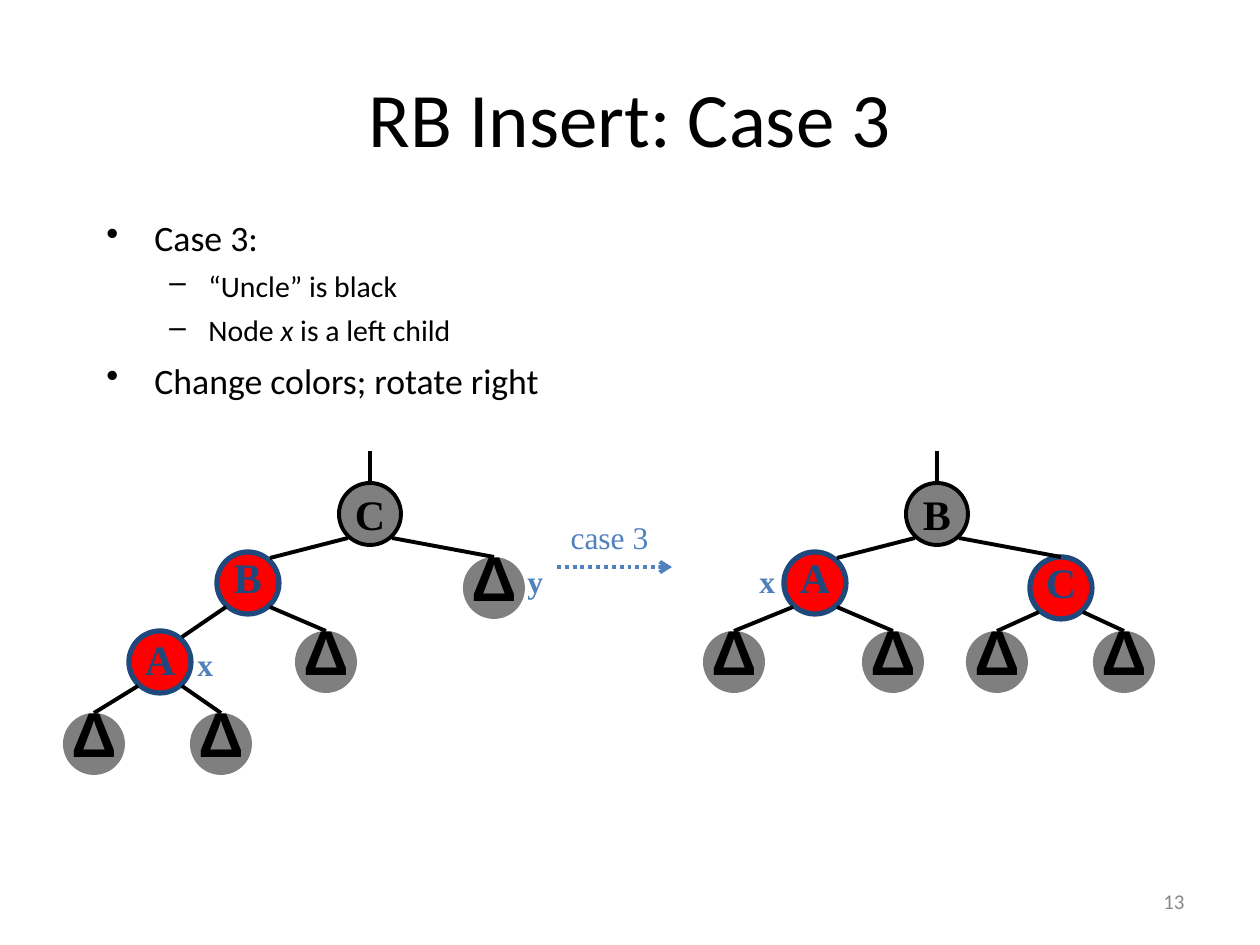
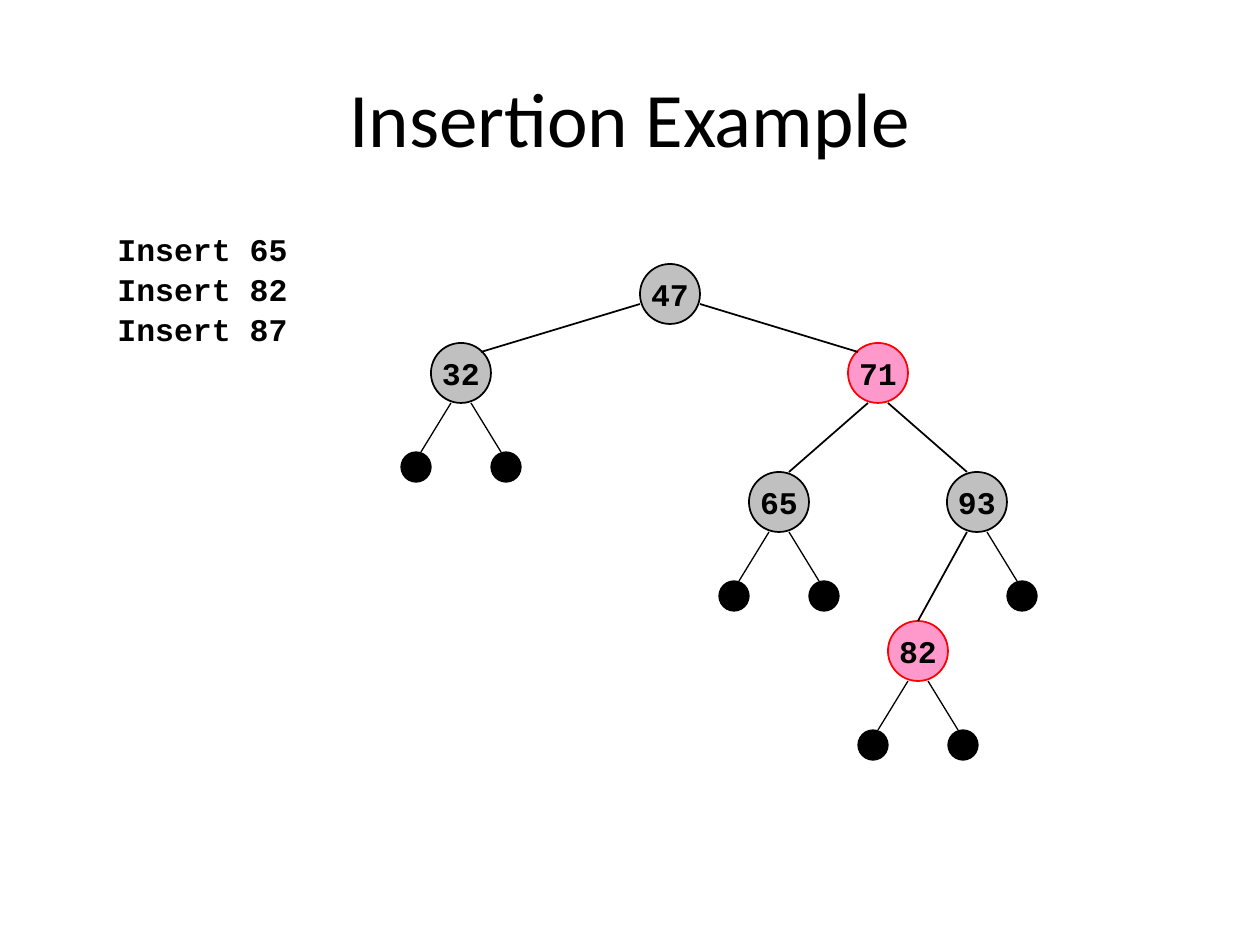
from dataclasses import dataclass

from lxml import etree
from pptx import Presentation
from pptx.dml.color import RGBColor
from pptx.enum.dml import MSO_LINE
from pptx.enum.shapes import MSO_CONNECTOR, MSO_SHAPE
from pptx.enum.text import MSO_ANCHOR, PP_ALIGN
from pptx.oxml.ns import qn
from pptx.util import Emu, Pt

ELLIPSE = MSO_SHAPE.OVAL
STRAIGHT = MSO_CONNECTOR.STRAIGHT
DOTTED = MSO_LINE.ROUND_DOT
MIDDLE, TOP = MSO_ANCHOR.MIDDLE, MSO_ANCHOR.TOP
LEFT, CENTER, RIGHT = PP_ALIGN.LEFT, PP_ALIGN.CENTER, PP_ALIGN.RIGHT

PX_PER_INCH = 126
SLIDE_SIZE = (1260, 945)
TITLE_ONLY = 5
TOP_SITE = 0

SANS, SERIF, MONO, SYMBOL = "Calibri", "Times New Roman", "Courier New", "Arial"
BLACK, DARK_GRAY, SILVER, PAGE_GRAY = "000000", "7F7F7F", "C0C0C0", "898989"
RED, PINK, BLUE, NAVY = "FF0000", "FF99CC", "4F81BD", "1F497D"


@dataclass
class NodeStyle:
    diameter: int
    fill: str
    line: str = BLACK
    line_width: float = 0
    font: str = SERIF
    size: float = 24
    color: str = BLACK
    spacing: float = 1.0


BLACK_NODE = NodeStyle(62, DARK_GRAY, BLACK, 2.25)
RED_NODE = NodeStyle(62, RED, NAVY, 3, color=NAVY, spacing=0.7)
LOW_RED_NODE = NodeStyle(62, RED, NAVY, 3, color=NAVY, spacing=0.9)
SUBTREE = NodeStyle(62, DARK_GRAY, font=SYMBOL, size=36, spacing=0.6)
KEY_BLACK = NodeStyle(60, SILVER, BLACK, 1, MONO, 18)
KEY_RED = NodeStyle(60, PINK, RED, 1, MONO, 18)
NIL_LEAF = NodeStyle(30, BLACK, BLACK, 0.75)


def px(length):
    return Emu(round(length * 914400 / PX_PER_INCH))


def rgb(value):
    return RGBColor.from_string(value)


def set_font(font, name, size, color, bold=False):
    font.name, font.size, font.bold = name, Pt(size), bold
    font.color.rgb = rgb(color)


def add_titled_slide(presentation, title):
    slide = presentation.slides.add_slide(presentation.slide_layouts[TITLE_ONLY])
    shape = slide.shapes.title
    shape.left, shape.top, shape.width, shape.height = map(px, (63, 38, 1134, 158))
    shape.text_frame.vertical_anchor = MIDDLE
    paragraph = shape.text_frame.paragraphs[0]
    paragraph.text = title
    paragraph.alignment = CENTER
    set_font(paragraph.font, SANS, 44, BLACK)
    return slide


def add_label(slide, text, box, font, size, color, bold=False,
              align=CENTER, anchor=MIDDLE, wrap=False):
    frame = slide.shapes.add_textbox(*map(px, box)).text_frame
    frame.word_wrap = wrap
    frame.vertical_anchor = anchor
    paragraph = frame.paragraphs[0]
    paragraph.text = text
    paragraph.alignment = align
    set_font(paragraph.font, font, size, color, bold)


def add_bullets(slide, items, box):
    """Each item is a level and its runs, given as (text, italic) pairs."""
    levels = (("•", 48, 48, 20.4, 6), ("–", 102, 39, 17, 5))
    frame = slide.shapes.add_textbox(*map(px, box)).text_frame
    frame.word_wrap = True
    for index, (level, runs) in enumerate(items):
        mark, margin, hanging, size, space = levels[level]
        paragraph = frame.add_paragraph() if index else frame.paragraphs[0]
        paragraph.level = level
        paragraph.space_before = Pt(space)
        set_font(paragraph.font, SANS, size, BLACK)
        for text, italic in runs:
            run = paragraph.add_run()
            run.text = text
            if italic:
                run.font.italic = True
        properties = paragraph._p.get_or_add_pPr()
        properties.set("marL", str(px(margin)))
        properties.set("indent", str(-px(hanging)))
        bullet = etree.Element(qn("a:buChar"), char=mark)
        properties.find(qn("a:defRPr")).addprevious(bullet)


def add_node(slide, center, style, text=""):
    x, y = center
    radius = style.diameter / 2
    shape = slide.shapes.add_shape(
        ELLIPSE, px(x - radius), px(y - radius), px(style.diameter), px(style.diameter))
    shape.shadow.inherit = False
    shape.fill.solid()
    shape.fill.fore_color.rgb = rgb(style.fill)
    if style.line_width:
        shape.line.color.rgb = rgb(style.line)
        shape.line.width = Pt(style.line_width)
    else:
        shape.line.fill.background()
    if text:
        frame = shape.text_frame
        frame.word_wrap = False
        frame.vertical_anchor = MIDDLE
        paragraph = frame.paragraphs[0]
        paragraph.text = text
        paragraph.alignment = CENTER
        paragraph.line_spacing = style.spacing
        set_font(paragraph.font, style.font, style.size, style.color, bold=True)
    return shape


def add_line(slide, start, end, color, width, joined=None):
    """Draw a line; joined is a node whose top the line ends at."""
    line = slide.shapes.add_connector(STRAIGHT, *map(px, (*start, *end)))
    line.line.color.rgb = rgb(color)
    line.line.width = Pt(width)
    etree.SubElement(line._element.spPr, qn("a:effectLst"))
    if joined is not None:
        line.end_connect(joined, TOP_SITE)
    return line


def add_dotted_arrow(slide, start, end):
    arrow = add_line(slide, start, end, BLUE, 2.25)
    arrow.line.dash_style = DOTTED
    etree.SubElement(arrow.line._get_or_add_ln(), qn("a:tailEnd"), type="arrow")


def add_rotation_tree(slide, nodes, edges):
    """Nodes map a key to (center, style, text); the first one is the root."""
    shapes = {key: add_node(slide, *node) for key, node in nodes.items()}
    root = next(iter(nodes))
    x, y = nodes[root][0]
    add_line(slide, (x, y - 63), (x, y - 31), BLACK, 2.25, shapes[root])
    for parent, child in edges:
        (x, y), (child_x, child_y) = nodes[parent][0], nodes[child][0]
        side = 1 if child_x > x else -1
        start = (x + 22 * side, y + 24)
        if side < 0 and nodes[child][1] is not SUBTREE:
            add_line(slide, start, (child_x + 22, child_y - 25), BLACK, 2.25)
        else:
            add_line(slide, start, (child_x, child_y - 31), BLACK, 2.25, shapes[child])


def add_nil_leaf(slide, parent, side):
    x, y = parent
    add_line(slide, (x + 10 * side, y + 30), (x + 40 * side, y + 79), BLACK, 0.75)
    add_node(slide, (x + 45 * side, y + 94), NIL_LEAF)


def build_case_slide(presentation):
    slide = add_titled_slide(presentation, "RB Insert: Case 3")
    add_bullets(slide, [
        (0, [("Case 3:", False)]),
        (1, [("“Uncle” is black", False)]),
        (1, [("Node ", False), ("x", True), (" is a left child", False)]),
        (0, [("Change colors; rotate right", False)]),
    ], (94, 210, 1103, 194))

    # Tree before the rotation
    add_rotation_tree(slide, {
        "C": ((370, 514), BLACK_NODE, "C"),
        "B": ((248, 583), RED_NODE, "B"),
        "A": ((160, 662), LOW_RED_NODE, "A"),
        "uncle": ((494, 588), SUBTREE, "Δ"),
        "B right": ((326, 662), SUBTREE, "Δ"),
        "A left": ((94, 744), SUBTREE, "Δ"),
        "A right": ((221, 744), SUBTREE, "Δ"),
    }, [("C", "B"), ("C", "uncle"), ("B", "A"), ("B", "B right"),
        ("A", "A left"), ("A", "A right")])

    # Tree after the rotation
    add_rotation_tree(slide, {
        "B": ((937, 514), BLACK_NODE, "B"),
        "A": ((815, 583), RED_NODE, "A"),
        "C": ((1061, 588), RED_NODE, "C"),
        "A left": ((734, 662), SUBTREE, "Δ"),
        "A right": ((893, 662), SUBTREE, "Δ"),
        "C left": ((997, 662), SUBTREE, "Δ"),
        "C right": ((1124, 662), SUBTREE, "Δ"),
    }, [("B", "A"), ("B", "C"), ("A", "A left"), ("A", "A right"),
        ("C", "C left"), ("C", "C right")])

    # Node names, step arrow and page number
    for name, left, top in (("x", 185, 639), ("y", 515, 556), ("x", 747, 556)):
        add_label(slide, name, (left, top, 40, 50), SERIF, 18, BLUE, bold=True)
    add_label(slide, "case 3", (558, 512, 103, 50), SERIF, 18, BLUE)
    add_dotted_arrow(slide, (557, 567), (672, 567))
    add_label(slide, "13", (903, 876, 294, 50), SANS, 12, PAGE_GRAY,
              align=RIGHT, wrap=True)


def build_example_slide(presentation):
    slide = add_titled_slide(presentation, "Insertion Example")

    # Operations
    for row, key in enumerate((65, 82, 87)):
        add_label(slide, f"Insert {key}", (105, 224 + 40 * row, 328, 50), MONO, 18,
                  BLACK, bold=True, align=LEFT, anchor=TOP, wrap=True)

    # Keys
    keys = {
        47: ((670, 294), KEY_BLACK),
        32: ((461, 373), KEY_BLACK),
        71: ((878, 373), KEY_RED),
        65: ((779, 502), KEY_BLACK),
        93: ((977, 502), KEY_BLACK),
        82: ((918, 651), KEY_RED),
    }
    shapes = {key: add_node(slide, center, style, str(key))
              for key, (center, style) in keys.items()}

    # Edges, with the offsets of their ends from the node centers
    for parent, (dx, dy), child, (child_dx, child_dy) in (
            (47, (-30, 10), 32, (20, -21)),
            (47, (30, 10), 71, (-20, -21)),
            (71, (-10, 30), 65, (10, -30)),
            (71, (10, 30), 93, (-10, -30)),
            (93, (-10, 30), 82, (0, -30))):
        (x, y), (child_x, child_y) = keys[parent][0], keys[child][0]
        add_line(slide, (x + dx, y + dy), (child_x + child_dx, child_y + child_dy),
                 BLACK, 1, shapes[child] if child_dx == 0 else None)

    # Empty leaves
    for key, sides in ((32, (-1, 1)), (65, (-1, 1)), (82, (-1, 1)), (93, (1,))):
        for side in sides:
            add_nil_leaf(slide, keys[key][0], side)


def main():
    presentation = Presentation()
    presentation.slide_width, presentation.slide_height = map(px, SLIDE_SIZE)
    build_case_slide(presentation)
    build_example_slide(presentation)
    presentation.save("out.pptx")


if __name__ == "__main__":
    main()
